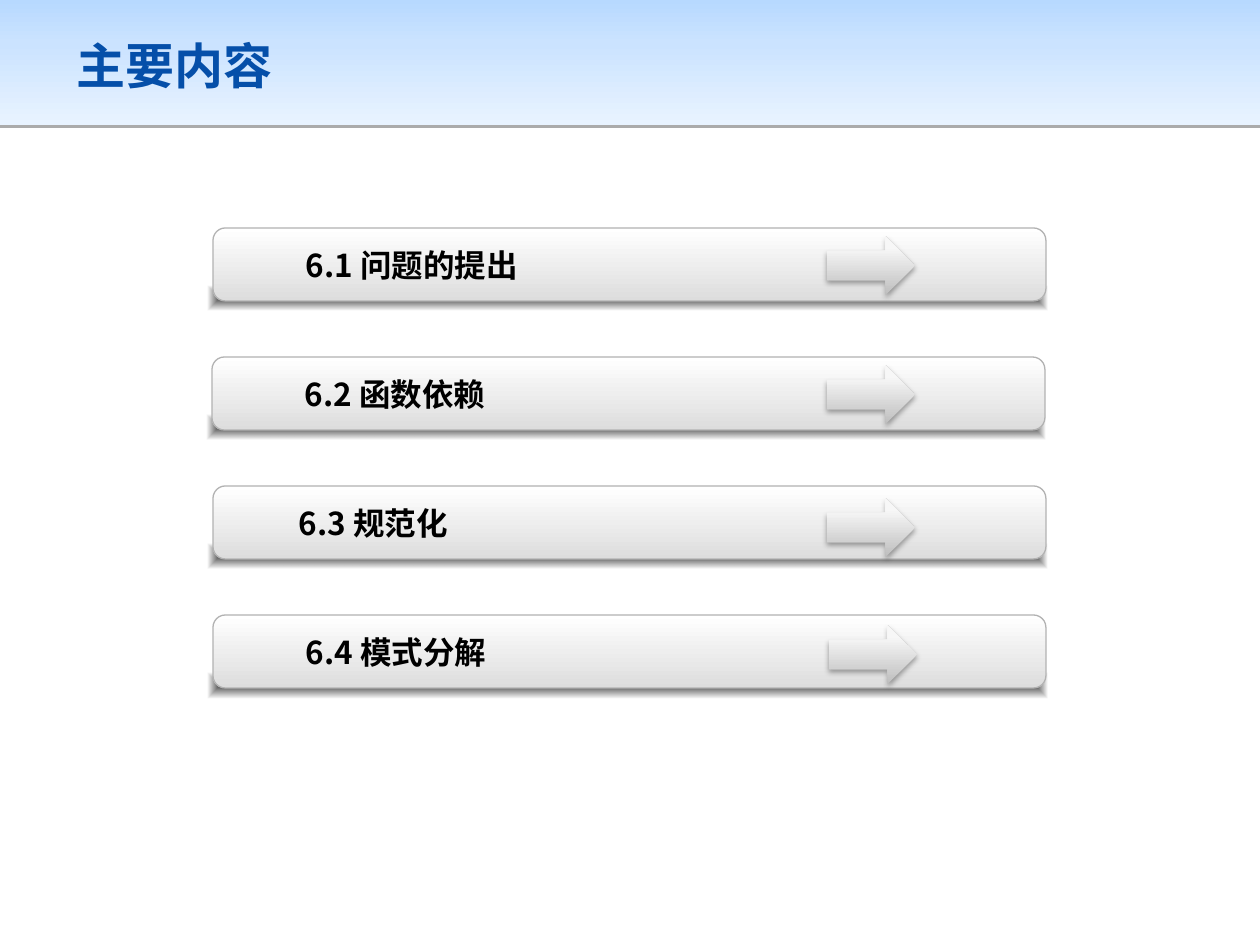
import pptx
import pptx.util
import pptx.oxml
import pptx.oxml.ns
import pptx.dml.color
import pptx.enum.shapes
import pptx.enum.text

PX = 914400 / 126
KIND = pptx.enum.shapes.MSO_SHAPE
FONT = "Noto Sans CJK SC"
COLORS = {
    "title": "054FA9", "text": "000000", "edge": "B2B2B2", "shade": "000000",
    "sky": "B7D9FF", "mid": "CBE3FF", "pale": "E8F3FF",
    "white": "FFFFFF", "gray": "DDDDDD",
    "dark": "BEBEBE", "light": "F7F7F7", "tip": "F8F8F8",
}
# Label, bar left, text inset, arrow left, arrow drop from the bar top
ROWS = [
    ("6.1 问题的提出", 213, 20, 827, 8),
    ("6.2 函数依赖", 212, 20, 827, 8),
    ("6.3 规范化", 213, 13, 827, 12),
    ("6.4 模式分解", 213, 20, 829, 10),
]
TOP, STEP, BAR_W, BAR_H = 228, 129, 833, 73
DOWN = '<a:lin ang="5400000" scaled="0"/>'
UP = '<a:lin ang="16200000" scaled="0"/>'
CENTER = ('<a:path path="shape"><a:fillToRect l="50000" t="50000" '
          'r="50000" b="50000"/></a:path>')


def px(num):
    return round(num * PX)


def rgb(name):
    return pptx.dml.color.RGBColor.from_string(COLORS[name])


def parse(xml):
    """Read an element that has a closing tag, adding its namespace."""
    space = pptx.oxml.ns.nsdecls("a")
    return pptx.oxml.parse_xml(xml.replace(">", f" {space}>", 1))


def tint(name, alpha=100):
    return (f'<a:srgbClr val="{COLORS[name]}">'
            f'<a:alpha val="{alpha * 1000}"/></a:srgbClr>')


def blend(shape, stops, way):
    """Fill with a gradient; stops are (percent, color, alpha)."""
    marks = "".join(f'<a:gs pos="{pos * 1000}">{tint(name, alpha)}</a:gs>'
                    for pos, name, alpha in stops)
    shape.fill.gradient()
    old = shape._element.spPr.find(pptx.oxml.ns.qn("a:gradFill"))
    new = parse(f'<a:gradFill><a:gsLst>{marks}</a:gsLst>{way}</a:gradFill>')
    old.getparent().replace(old, new)


def cast(shape, alpha, blur, dist):
    """Drop a shadow straight down; blur and dist in points."""
    pt = pptx.util.Pt
    effect = shape._element.spPr.find(pptx.oxml.ns.qn("a:effectLst"))
    effect.append(parse(
        f'<a:outerShdw blurRad="{pt(blur)}" dist="{pt(dist)}" dir="5400000" '
        f'algn="t" rotWithShape="0">{tint("shade", alpha)}</a:outerShdw>'))


def add_shape(slide, kind, left, top, width, height, stops, way):
    shape = slide.shapes.add_shape(kind, px(left), px(top), px(width), px(height))
    shape.shadow.inherit = False
    shape.line.fill.background()
    blend(shape, stops, way)
    return shape


def add_text(slide, text, left, top, width, height, inset, size, color, face):
    box = slide.shapes.add_textbox(px(left), px(top), px(width), px(height))
    frame = box.text_frame
    frame.word_wrap = True
    frame.vertical_anchor = pptx.enum.text.MSO_ANCHOR.MIDDLE
    frame.margin_left = px(inset)
    frame.text = text
    run = frame.paragraphs[0].runs[0]
    run.font.size = pptx.util.Pt(size)
    run.font.bold = True
    run.font.color.rgb = rgb(color)
    run.font.name = face
    run._r.get_or_add_rPr().append(parse(f'<a:ea typeface="{FONT}"></a:ea>'))


def add_head(slide):
    band = add_shape(slide, KIND.RECTANGLE, 0, 0, 1260, 125,
                     [(0, "sky", 100), (35, "mid", 100), (100, "pale", 100)], DOWN)
    cast(band, 33, 0, 1.6)
    add_text(slide, "主要内容", 64, 20, 1131, 90, 13, 28, "title", "Arial")


def add_row(slide, top, label, left, inset, tip, drop):
    add_shape(slide, KIND.RECTANGLE, left - 5, top + 58, 839, 25,
              [(0, "shade", 70), (100, "shade", 0)], CENTER)
    bar = add_shape(slide, KIND.ROUNDED_RECTANGLE, left, top, BAR_W, BAR_H,
                    [(0, "white", 100), (100, "gray", 100)], DOWN)
    bar.adjustments[0] = 0.17
    bar.line.color.rgb = rgb("edge")
    bar.line.width = pptx.util.Pt(0.75)
    add_text(slide, label, left + 10, top, 745, BAR_H, inset + 63, 18, "text", FONT)
    arrow = add_shape(slide, KIND.RIGHT_ARROW, tip, top + drop, 88, 59,
                      [(0, "dark", 100), (80, "light", 100), (100, "tip", 100)], UP)
    cast(arrow, 35, 3.1, 1.8)


def main():
    deck = pptx.Presentation()
    deck.slide_width, deck.slide_height = px(1260), px(945)
    slide = deck.slides.add_slide(deck.slide_layouts[6])
    add_head(slide)
    for num, row in enumerate(ROWS):
        add_row(slide, TOP + num * STEP, *row)
    deck.save("out.pptx")


if __name__ == "__main__":
    main()
